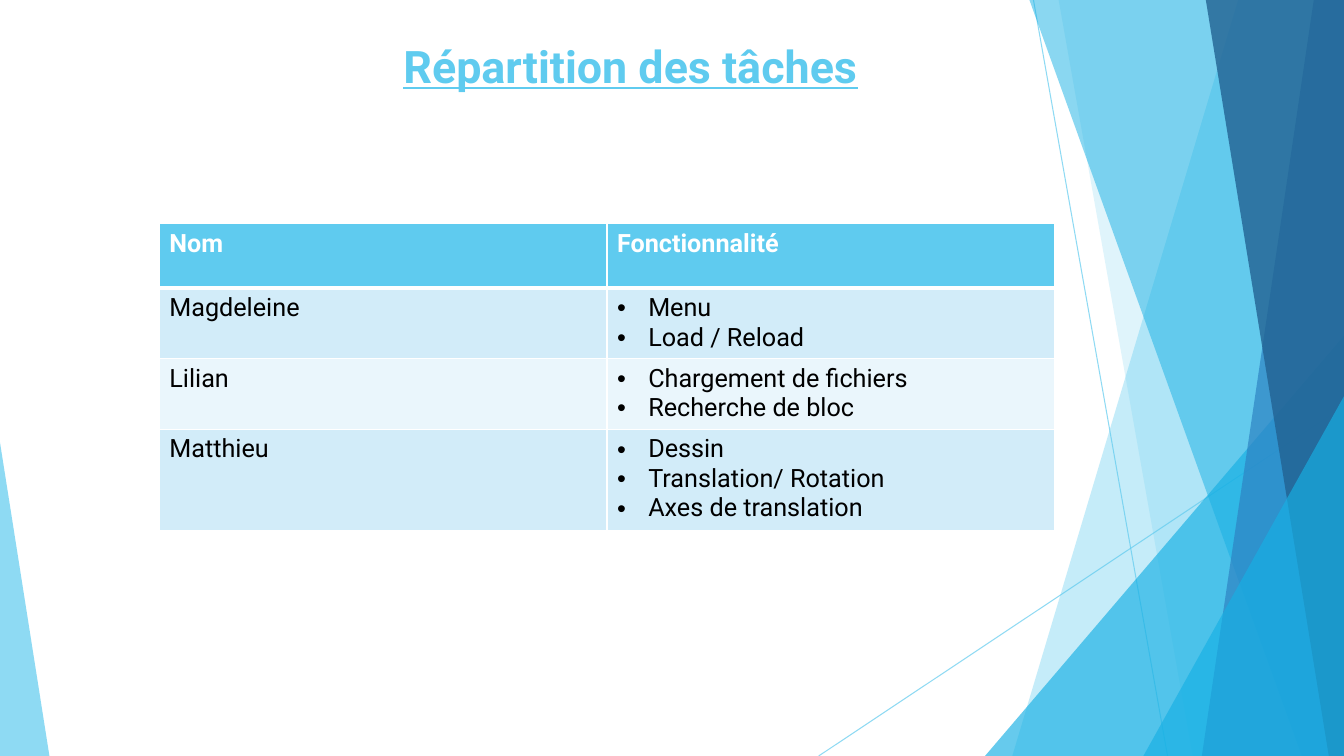
from dataclasses import dataclass

from lxml import etree
from pptx import Presentation
from pptx.dml.color import RGBColor
from pptx.enum.shapes import MSO_CONNECTOR, MSO_SHAPE
from pptx.enum.text import MSO_ANCHOR, MSO_AUTO_SIZE, PP_ALIGN
from pptx.oxml.ns import qn
from pptx.util import Inches, Pt

STRAIGHT = MSO_CONNECTOR.STRAIGHT
TRIANGLE = MSO_SHAPE.ISOSCELES_TRIANGLE
CENTER = PP_ALIGN.CENTER
MIDDLE = MSO_ANCHOR.MIDDLE
FIT_SHAPE = MSO_AUTO_SIZE.SHAPE_TO_FIT_TEXT


@dataclass(frozen=True)
class Theme:
    font: str = "Roboto"
    title_size: int = 32
    body_size: int = 18
    sky: str = "5FCBEF"
    cyan: str = "17B0E4"
    blue: str = "2E83C3"
    navy: str = "226292"
    band_dark: str = "D2ECF9"
    band_light: str = "EAF6FC"
    white: str = "FFFFFF"
    black: str = "000000"


THEME = Theme()
WIDTH, HEIGHT = 13.33, 7.5

TASKS = [
    ("Magdeleine", ["Menu", "Load / Reload"]),
    ("Lilian", ["Chargement de fichiers", "Recherche de bloc"]),
    ("Matthieu", ["Dessin", "Translation/ Rotation", "Axes de translation"]),
]
ROW_HEIGHTS = [0.64, 0.7, 0.7, 1.0]


def set_alpha(fill_parent, percent):
    color = fill_parent.find(".//" + qn("a:srgbClr"))
    etree.SubElement(color, qn("a:alpha")).set("val", str(percent * 1000))


def paint(sp, color, percent):
    sp.shadow.inherit = False
    sp.fill.solid()
    sp.fill.fore_color.rgb = RGBColor.from_string(color)
    set_alpha(sp._element.spPr, percent)
    sp.line.fill.background()


def add_text(p, text, size, color, bold=False):
    r = p.add_run()
    r.text = text
    r.font.name = THEME.font
    r.font.size = Pt(size)
    r.font.bold = bold
    r.font.color.rgb = RGBColor.from_string(color)
    return r


def add_ray(s, start, end):
    line = s.shapes.add_connector(STRAIGHT, *map(Inches, start + end))
    line.line.color.rgb = RGBColor.from_string(THEME.sky)
    line.line.width = Pt(0.75)
    spPr = line._element.spPr
    set_alpha(spPr, 70)
    etree.SubElement(spPr, qn("a:effectLst"))


def add_blade(s, right, bottom, top_x, bottom_x, color, percent):
    outline = s.shapes.build_freeform(Inches(top_x), 0)
    corners = [(right, 0), (right, bottom), (bottom_x, bottom)]
    outline.add_line_segments([(Inches(x), Inches(y)) for x, y in corners])
    paint(outline.convert_to_shape(), color, percent)


def add_corner(s, left, top, right, bottom, peak, color, percent):
    box = (left, top, right - left, bottom - top)
    sp = s.shapes.add_shape(TRIANGLE, *map(Inches, box))
    sp.adjustments[0] = peak
    paint(sp, color, percent)


def add_facets(s, right, bottom):
    add_ray(s, (right - 3.08, 0), (right - 1.75, bottom))
    add_ray(s, (right, bottom - 3.47), (right - 5.21, bottom))
    add_blade(s, right, bottom, right - 1.05, right - 3.29, THEME.sky, 36)
    add_blade(s, right, bottom, right - 2.83, right - 1.5, THEME.sky, 20)
    add_corner(s, right - 3.56, bottom - 4.17, right, bottom, 1, THEME.cyan, 66)
    add_blade(s, right, bottom, right - 3.12, right - 0.42, THEME.cyan, 50)
    add_blade(s, right, bottom, right - 0.3, right - 1.41, THEME.blue, 70)
    add_blade(s, right, bottom, right - 1.37, right - 0.15, THEME.navy, 80)
    add_corner(s, right - 1.99, bottom - 3.57, right, bottom, 1, THEME.cyan, 66)
    add_corner(s, 0, bottom - 3.11, 0.49, bottom, 0, THEME.sky, 70)


def add_title(s, left, top, width, height):
    sp = s.shapes.title
    sp.left, sp.top, sp.width, sp.height = map(Inches, (left, top, width, height))
    tf = sp.text_frame
    tf.word_wrap = True
    tf.auto_size = FIT_SHAPE
    tf.vertical_anchor = MIDDLE
    p = tf.paragraphs[0]
    p.alignment = CENTER
    r = add_text(p, "Répartition des tâches", THEME.title_size, THEME.sky, True)
    r.font.underline = True


def style_cell(cell, fill, top=1, bottom=1):
    tcPr = cell._tc.get_or_add_tcPr()
    for side, width in (("L", 1), ("R", 1), ("T", top), ("B", bottom)):
        ln = etree.SubElement(tcPr, qn("a:ln" + side), w=str(Pt(width)))
        solid = etree.SubElement(ln, qn("a:solidFill"))
        etree.SubElement(solid, qn("a:srgbClr"), val=THEME.white)
    cell.fill.solid()
    cell.fill.fore_color.rgb = RGBColor.from_string(fill)


def add_bullet(p):
    pPr = p._p.get_or_add_pPr()
    pPr.set("marL", str(Inches(0.31)))
    pPr.set("indent", str(Inches(-0.31)))
    etree.SubElement(pPr, qn("a:buFont"), typeface="Arial")
    etree.SubElement(pPr, qn("a:buChar"), char="•")


def add_task_table(s, left, top, width, height):
    box = map(Inches, (left, top, width, height))
    table = s.shapes.add_table(len(TASKS) + 1, 2, *box).table
    for column in table.columns:
        column.width = Inches(width / 2)
    for row, row_height in zip(table.rows, ROW_HEIGHTS):
        row.height = Inches(row_height)

    for col, heading in enumerate(("Nom", "Fonctionnalité")):
        cell = table.cell(0, col)
        style_cell(cell, THEME.sky, bottom=3)
        add_text(cell.text_frame.paragraphs[0], heading, THEME.body_size,
                 THEME.white, True)

    for row, (name, features) in enumerate(TASKS, 1):
        fill = THEME.band_dark if row % 2 else THEME.band_light
        name_cell, feature_cell = table.cell(row, 0), table.cell(row, 1)
        for cell in (name_cell, feature_cell):
            style_cell(cell, fill, top=3 if row == 1 else 1)
        add_text(name_cell.text_frame.paragraphs[0], name, THEME.body_size,
                 THEME.black)
        tf = feature_cell.text_frame
        for i, feature in enumerate(features):
            p = tf.add_paragraph() if i else tf.paragraphs[0]
            add_bullet(p)
            add_text(p, feature, THEME.body_size, THEME.black)


def main():
    prs = Presentation()
    prs.slide_width, prs.slide_height = Inches(WIDTH), Inches(HEIGHT)
    s = prs.slides.add_slide(prs.slide_layouts[5])
    add_facets(s, WIDTH, HEIGHT)
    add_title(s, 3.49, 0.33, 5.53, 0.64)
    add_task_table(s, 1.58, 2.22, 8.88, sum(ROW_HEIGHTS))
    prs.save("out.pptx")


if __name__ == "__main__":
    main()
